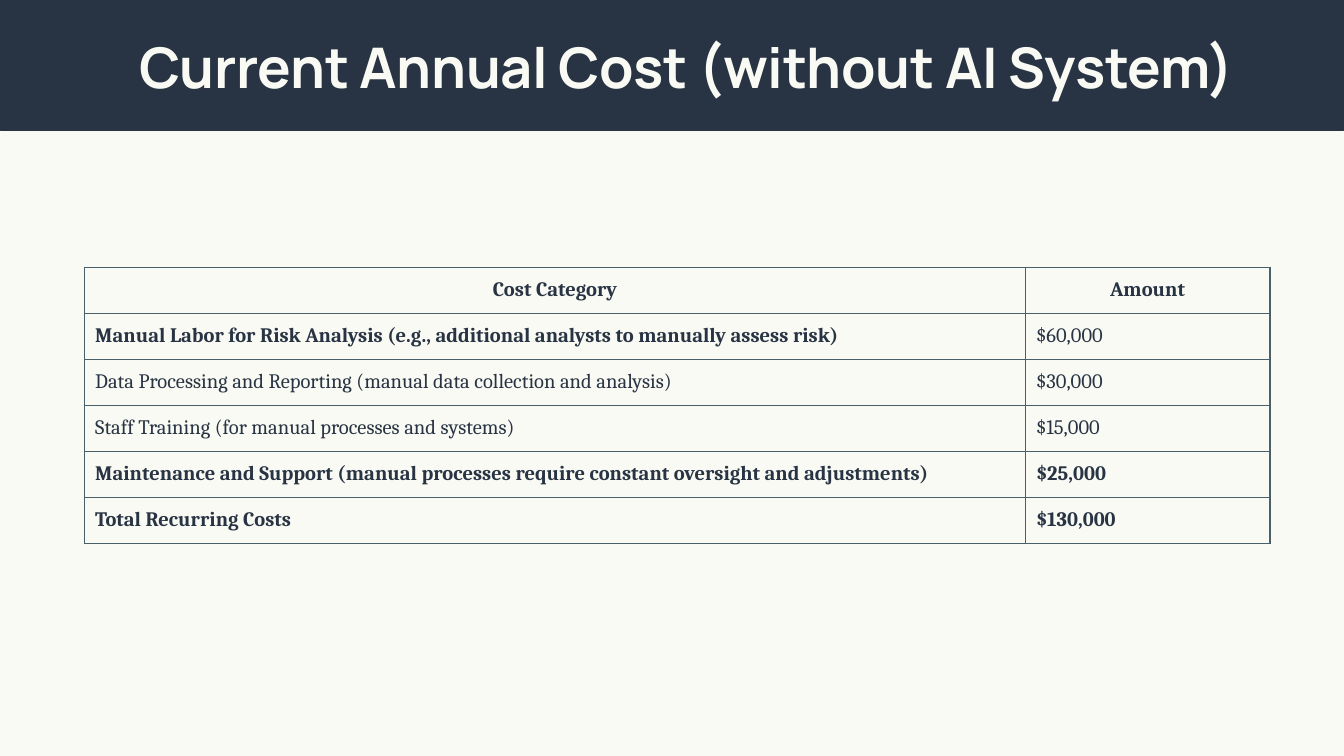
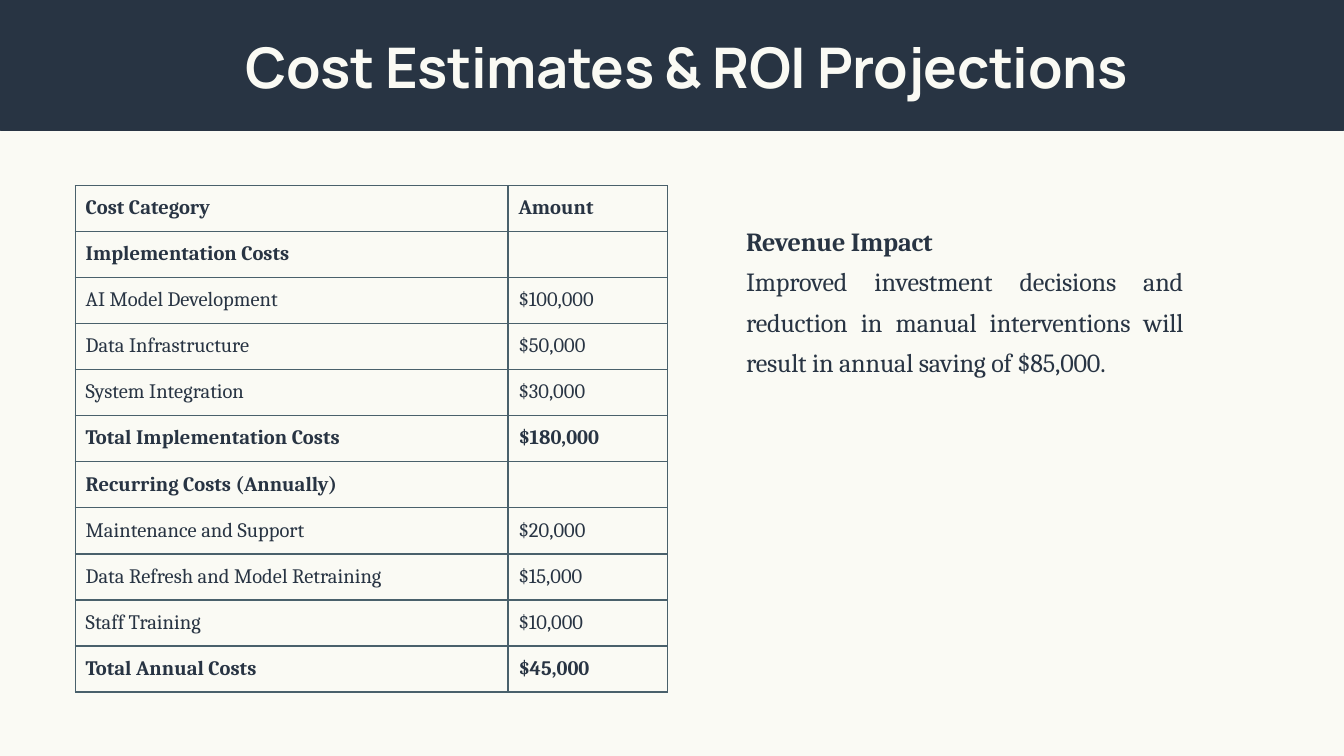
"""Build two slides on current and projected costs, each with a title band and a cost table."""
from lxml import etree
from pptx import Presentation
from pptx.dml.color import RGBColor
from pptx.enum.shapes import MSO_SHAPE
from pptx.enum.text import MSO_ANCHOR, PP_ALIGN
from pptx.oxml.ns import qn
from pptx.util import Cm, Pt

LEFT, CENTER, JUSTIFY = PP_ALIGN.LEFT, PP_ALIGN.CENTER, PP_ALIGN.JUSTIFY
TOP, BOTTOM = MSO_ANCHOR.TOP, MSO_ANCHOR.BOTTOM
RECTANGLE = MSO_SHAPE.RECTANGLE

THEME = {
    "paper": RGBColor.from_string("FAFAF4"),
    "navy": RGBColor.from_string("283443"),
    "border": "49606B",
    "border_width": Pt(0.75),
    "row_height": Cm(0.87),
    "cell_margin": Cm(0.2),
}
STYLES = {
    "title": {
        "font": {"name": "Manrope", "size": Pt(30)},
        "color": THEME["paper"], "spacing": -20, "leading": Pt(39),
    },
    "cell": {
        "font": {"name": "Cambria", "size": Pt(11)},
        "color": THEME["navy"], "spacing": 0, "leading": None,
    },
    "note": {
        "font": {"name": "Cambria", "size": Pt(14)},
        "color": THEME["navy"], "spacing": -10, "leading": Pt(21.6),
    },
}
PAGES = [
    {
        "title": "Current Annual Cost (without AI System)",
        "table_at": (Cm(1.6), Cm(5.06)),
        "columns": (Cm(17.78), Cm(4.62)),
        "header_align": CENTER,
        "bold_rows": ({0, 1, 4, 5}, {0, 4, 5}),
        "rows": [
            ("Cost Category", "Amount"),
            ("Manual Labor for Risk Analysis (e.g., additional analysts to manually assess risk)", "$60,000"),
            ("Data Processing and Reporting (manual data collection and analysis)", "$30,000"),
            ("Staff Training (for manual processes and systems)", "$15,000"),
            ("Maintenance and Support (manual processes require constant oversight and adjustments)", "$25,000"),
            ("Total Recurring Costs", "$130,000"),
        ],
        "note": [],
    },
    {
        "title": "Cost Estimates & ROI Projections",
        "table_at": (Cm(1.42), Cm(3.51)),
        "columns": (Cm(8.18), Cm(3.02)),
        "header_align": LEFT,
        "bold_rows": ({0, 1, 5, 6, 10}, {0, 5, 10}),
        "rows": [
            ("Cost Category", "Amount"),
            ("Implementation Costs", ""),
            ("AI Model Development", "$100,000"),
            ("Data Infrastructure", "$50,000"),
            ("System Integration", "$30,000"),
            ("Total Implementation Costs", "$180,000"),
            ("Recurring Costs (Annually)", ""),
            ("Maintenance and Support", "$20,000"),
            ("Data Refresh and Model Retraining", "$15,000"),
            ("Staff Training", "$10,000"),
            ("Total Annual Costs", "$45,000"),
        ],
        "note": [
            ("Revenue Impact", True),
            ("Improved investment decisions and reduction in manual interventions "
             "will result in annual saving of $85,000.", False),
        ],
    },
]


def write_paragraph(para, text, style_name, align, bold):
    style = STYLES[style_name]
    para.alignment = align
    para.line_spacing = style["leading"]
    if not text:
        end = etree.SubElement(para._p, qn("a:endParaRPr"))
        end.set("sz", str(int(style["font"]["size"].pt * 100)))
        return
    span = para.add_run()
    span.text = text
    for name, value in style["font"].items():
        setattr(span.font, name, value)
    span.font.bold = bold
    span.font.color.rgb = style["color"]
    span.font._element.set("spc", str(style["spacing"]))


def add_text(page, bounds, lines, style_name, align, anchor):
    frame = page.shapes.add_textbox(*bounds).text_frame
    settings = {"word_wrap": True, "vertical_anchor": anchor, "margin_left": 0,
                "margin_right": 0, "margin_top": 0, "margin_bottom": 0}
    for name, value in settings.items():
        setattr(frame, name, value)
    for index, (text, bold) in enumerate(lines):
        para = frame.add_paragraph() if index else frame.paragraphs[0]
        write_paragraph(para, text, style_name, align, bold)


deck = Presentation()
deck.slide_width, deck.slide_height = Cm(25.4), Cm(14.29)

for content in PAGES:
    page = deck.slides.add_slide(deck.slide_layouts[6])
    page.background.fill.solid()
    page.background.fill.fore_color.rgb = THEME["paper"]

    rows, columns = content["rows"], content["columns"]
    table = page.shapes.add_table(
        len(rows), len(columns), *content["table_at"],
        sum(columns), THEME["row_height"] * len(rows),
    ).table
    table.first_row = table.horz_banding = False
    for column, width in zip(table.columns, columns):
        column.width = width

    for row_index, row in enumerate(rows):
        table.rows[row_index].height = THEME["row_height"]
        for column_index, text in enumerate(row):
            cell = table.cell(row_index, column_index)
            for side in ("left", "right", "top", "bottom"):
                setattr(cell, f"margin_{side}", THEME["cell_margin"])
            properties = cell._tc.get_or_add_tcPr()
            for edge in ("lnL", "lnR", "lnT", "lnB"):
                line = etree.SubElement(properties, qn(f"a:{edge}"), w=str(THEME["border_width"]))
                fill = etree.SubElement(line, qn("a:solidFill"))
                etree.SubElement(fill, qn("a:srgbClr"), val=THEME["border"])
            cell.fill.solid()
            cell.fill.fore_color.rgb = THEME["paper"]
            align = LEFT if row_index else content["header_align"]
            bold = row_index in content["bold_rows"][column_index]
            write_paragraph(cell.text_frame.paragraphs[0], text, "cell", align, bold)

    band = page.shapes.add_shape(RECTANGLE, 0, Cm(-0.08), deck.slide_width, Cm(2.54))
    band.shadow.inherit = False
    band.fill.solid()
    band.fill.fore_color.rgb = band.line.color.rgb = THEME["navy"]
    band.line.width = Pt(0.42)

    title_bounds = (Cm(1.6), Cm(0.51), Cm(22.76), Cm(1.37))
    add_text(page, title_bounds, [(content["title"], True)], "title", CENTER, TOP)
    if content["note"]:
        note_bounds = (Cm(14.1), Cm(4.09), Cm(8.26), Cm(3.05))
        add_text(page, note_bounds, content["note"], "note", JUSTIFY, BOTTOM)

deck.save("out.pptx")
